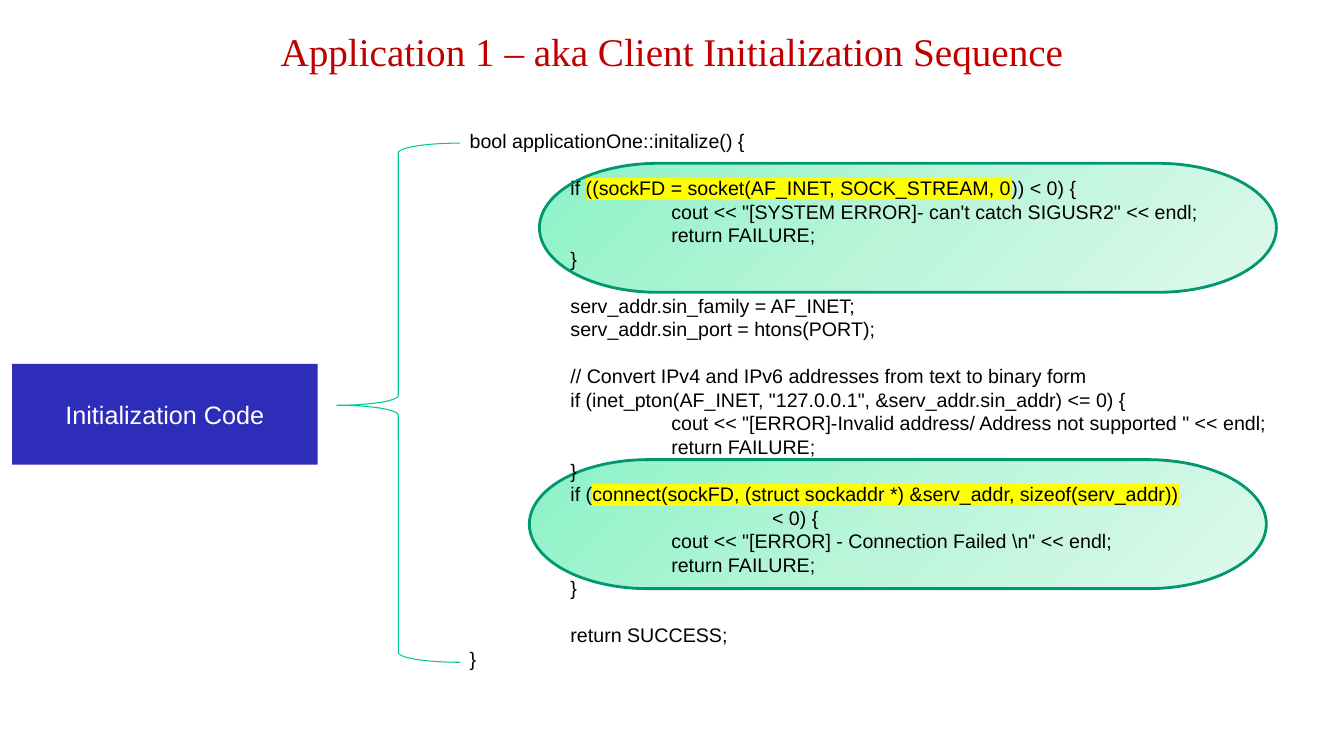
from copy import deepcopy

from lxml.etree import Element, SubElement
from pptx import Presentation
from pptx.dml.color import RGBColor
from pptx.enum.shapes import MSO_SHAPE
from pptx.enum.text import MSO_ANCHOR, PP_ALIGN
from pptx.oxml.ns import qn
from pptx.util import Inches, Pt

COLORS = {"title": "C00000", "code": "000000", "label": "FFFFFF", "box": "2D2DB9",
          "brace": "00C896", "edge": "009771", "marker": "FFFF00"}
CALLOUT_STOPS = [(0, "8CF2C6"), (0.5, "BAF5DA"), (1, "DEF9EC")]

TITLE = "Application 1 – aka Client Initialization Sequence"
LABEL = "Initialization Code"

# Blocks of code lines, one empty line apart; a line is (tabs, text, marked part, rest).
CODE = [
    [(0, "bool applicationOne::initalize() {")],
    [(1, "if ", "((sockFD = socket(AF_INET, SOCK_STREAM, 0", ")) < 0) {"),
     (2, "cout << \"[SYSTEM ERROR]- can't catch SIGUSR2\" << endl;"),
     (2, "return FAILURE;"),
     (1, "}")],
    [(1, "serv_addr.sin_family = AF_INET;"),
     (1, "serv_addr.sin_port = htons(PORT);")],
    [(1, "// Convert IPv4 and IPv6 addresses from text to binary form"),
     (1, 'if (inet_pton(AF_INET, "127.0.0.1", &serv_addr.sin_addr) <= 0) {'),
     (2, 'cout << "[ERROR]-Invalid address/ Address not supported " << endl;'),
     (2, "return FAILURE;"),
     (1, "}"),
     (1, "if (", "connect(sockFD, (struct sockaddr *) &serv_addr, sizeof(serv_addr))"),
     (3, "< 0) {"),
     (2, r'cout << "[ERROR] - Connection Failed \n" << endl;'),
     (2, "return FAILURE;"),
     (1, "}")],
    [(1, "return SUCCESS;"),
     (0, "}")],
]
LINE_PITCH = Pt(16.8)
TAB_WIDTH = Inches(1)

CALLOUTS = [(5.25, 4.56), (5.35, 1.62)]
CALLOUT_SIZE = (7.31, 1.28)
CODE_BOX = (4.56, 1.23, 8.9, 5.52)
BRACE_BOX = (3.34, 1.42, 1.22, 5.15)
LABEL_BOX = (0.12, 3.61, 3.03, 1)
TITLE_BOX = (0, 0.22, 13.33, 0.57)

FORMATS = {
    "title": {"size": Pt(28), "name": "Times New Roman", "bold": False},
    "label": {"size": Pt(18), "name": "Arial"},
    "code": {"size": Pt(14), "name": "Arial"},
}


def rgb(key):
    """Return the colour stored under a key."""
    return RGBColor.from_string(COLORS[key])


def inches(box):
    """Turn plain numbers into lengths."""
    return [Inches(v) for v in box]


def add_run(p, text, kind, marked=False):
    """Add formatted text, with a marker colour behind it if asked."""
    r = p.add_run()
    r.text = text
    r.font.color.rgb = rgb(kind)
    for name, value in FORMATS[kind].items():
        setattr(r.font, name, value)
    if marked:
        highlight = Element(qn("a:highlight"))
        SubElement(highlight, qn("a:srgbClr"), val=COLORS["marker"])
        r.font._element.find(qn("a:solidFill")).addnext(highlight)


def add_shape(preset, box, line=None, width=0):
    """Add a preset shape without shadow or fill, outlined if a line is given."""
    sp = slide.shapes.add_shape(preset, *inches(box))
    sp.shadow.inherit = False
    sp.fill.background()
    if line:
        sp.line.color.rgb = rgb(line)
        sp.line.width = Pt(width)
    else:
        sp.line.fill.background()
    return sp


def fill_callout(sp):
    """Shade a callout diagonally from its upper left corner."""
    sp.fill.gradient()
    sp.fill.gradient_angle = 315
    first = sp.fill.gradient_stops[0]._gs
    first.addnext(deepcopy(first))
    for stop, (position, color) in zip(sp.fill.gradient_stops, CALLOUT_STOPS):
        stop.position = position
        stop.color.rgb = RGBColor.from_string(color)


def write_centred(sp, text, kind):
    """Write one line in the middle of a shape."""
    tf = sp.text_frame
    tf.word_wrap = True
    tf.vertical_anchor = MSO_ANCHOR.MIDDLE
    p = tf.paragraphs[0]
    p.alignment = PP_ALIGN.CENTER
    add_run(p, text, kind)


def set_tabs(p, count):
    """Give a paragraph evenly spaced left tab stops."""
    if count:
        tab_list = SubElement(p._p.get_or_add_pPr(), qn("a:tabLst"))
        for n in range(1, count + 1):
            SubElement(tab_list, qn("a:tab"), pos=str(n * TAB_WIDTH), algn="l")


def write_code(tf):
    """Write the code, setting blocks apart by paragraph spacing."""
    tf.word_wrap = True
    p = tf.paragraphs[0]
    for b, block in enumerate(CODE):
        for n, (tabs, *parts) in enumerate(block):
            if b or n:
                p = tf.add_paragraph()
            p.line_spacing = LINE_PITCH
            p.space_before = LINE_PITCH if b and n == 0 else Pt(0)
            set_tabs(p, tabs)
            parts[0] = "\t" * tabs + parts[0]
            for i, text in enumerate(parts):
                add_run(p, text, "code", marked=i == 1)


prs = Presentation()
prs.slide_width, prs.slide_height = Inches(13.33), Inches(7.5)
slide = prs.slides.add_slide(prs.slide_layouts[5])

for corner in CALLOUTS:
    fill_callout(add_shape(MSO_SHAPE.FLOWCHART_TERMINATOR, corner + CALLOUT_SIZE, "edge", 2))

write_code(slide.shapes.add_textbox(*inches(CODE_BOX)).text_frame)

brace = add_shape(MSO_SHAPE.LEFT_BRACE, BRACE_BOX, "brace", 0.75)
brace.adjustments[0], brace.adjustments[1] = 0.08, 0.505

label = add_shape(MSO_SHAPE.RECTANGLE, LABEL_BOX)
label.fill.solid()
label.fill.fore_color.rgb = rgb("box")
write_centred(label, LABEL, "label")

title = slide.shapes.title
title.left, title.top, title.width, title.height = inches(TITLE_BOX)
write_centred(title, TITLE, "title")

prs.save("out.pptx")
